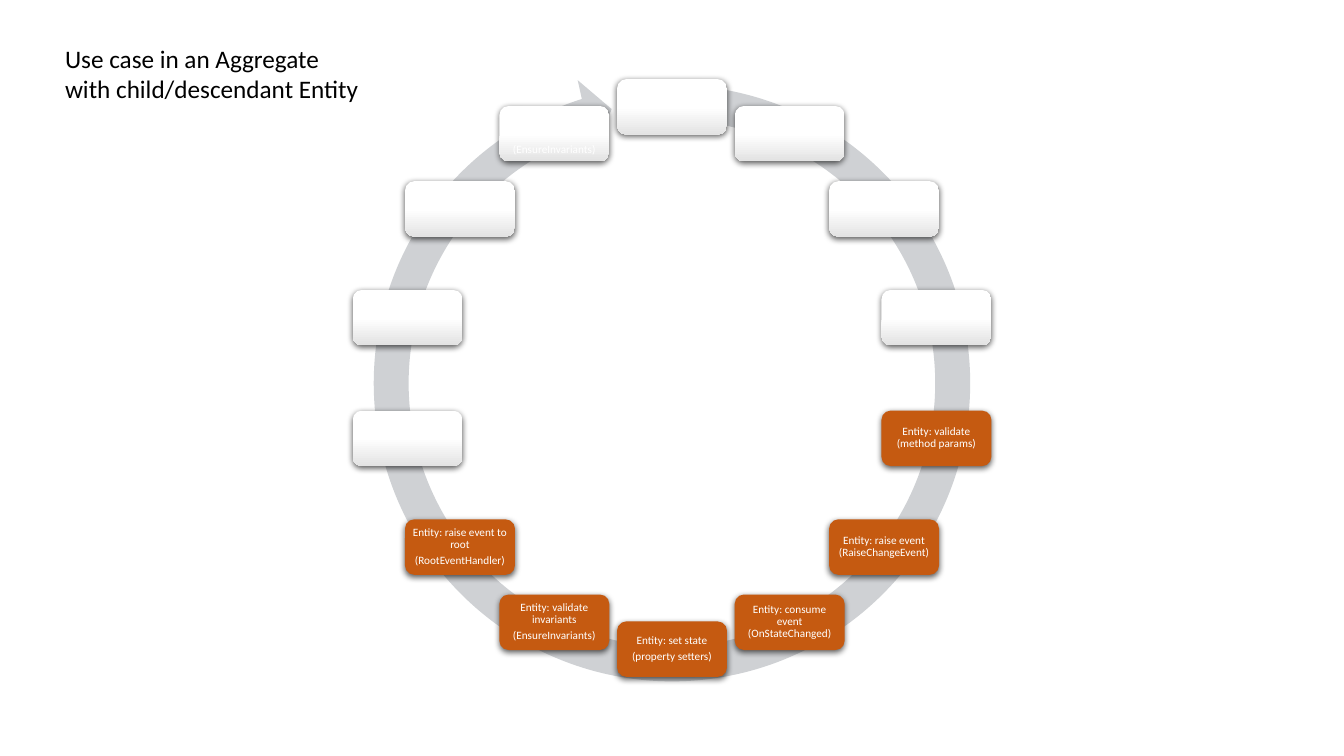
from math import cos, pi, sin

from lxml import etree
from pptx import Presentation
from pptx import util as u
from pptx.dml.color import RGBColor
from pptx.enum import shapes, text
from pptx.oxml import parse_xml

THEME = {
    "font": "Calibri", "title_size": 18, "step_size": 8,
    "black": RGBColor(0, 0, 0), "white": RGBColor(255, 255, 255),
    "ring": RGBColor(0xCF, 0xD1, 0xD4), "entity": RGBColor(0xC5, 0x5A, 0x11),
    "root_shade": RGBColor(0xE3, 0xE3, 0xE3),
}
WIDTH, HEIGHT = u.Inches(13.33), u.Inches(7.5)
DRAWING_NS = "http://schemas.openxmlformats.org/drawingml/2006/main"
SOFT_SHADOW = (
    f'<a:outerShdw xmlns:a="{DRAWING_NS}" blurRad="57150" dist="19050" dir="5400000" '
    'algn="ctr" rotWithShape="0"><a:srgbClr val="000000"><a:alpha val="63000"/>'
    '</a:srgbClr></a:outerShdw>')


def write(frame, lines, size, color, align=text.PP_ALIGN.LEFT, line_spacing=1.0, after=0):
    for i, line in enumerate(lines):
        paragraph = frame.paragraphs[0] if i == 0 else frame.add_paragraph()
        paragraph.alignment = align
        paragraph.line_spacing = line_spacing
        paragraph.space_after = u.Pt(after)
        run = paragraph.add_run()
        run.text = line
        run.font.name = THEME["font"]
        run.font.size = u.Pt(size)
        run.font.color.rgb = color


deck = Presentation()
deck.slide_width, deck.slide_height = WIDTH, HEIGHT
slide = deck.slides.add_slide(deck.slide_layouts[6])

# Ring with its arrowhead, centred on the slide
center_x, center_y = WIDTH // 2, HEIGHT // 2
ring_size = int(HEIGHT * 0.84)
ring = slide.shapes.add_shape(
    shapes.MSO_SHAPE.CIRCULAR_ARROW, center_x - ring_size // 2,
    int(HEIGHT * 0.087), ring_size, ring_size)
for i, value in enumerate((0.055, 3.307, 151.253, 166.078, 0.058)):
    ring.adjustments[i] = value
ring.shadow.inherit = False
ring.fill.solid()
ring.fill.fore_color.rgb = THEME["ring"]
ring.line.fill.background()

# Steps clockwise from the top: aggregate root (pale) and entity (orange)
steps = [
    ("root", []), ("root", []), ("root", []), ("root", []),
    ("entity", ["Entity: validate (method params)"]),
    ("entity", ["Entity: raise event (RaiseChangeEvent)"]),
    ("entity", ["Entity: consume event (OnStateChanged)"]),
    ("entity", ["Entity: set state", "(property setters)"]),
    ("entity", ["Entity: validate invariants", "(EnsureInvariants)"]),
    ("entity", ["Entity: raise event to root", "(RootEventHandler)"]),
    ("root", []), ("root", []), ("root", []),
    ("root", ["(EnsureInvariants)"]),
]
step_width, step_height = u.Inches(1.09), u.Inches(0.55)
radius = u.Inches(2.69)
for i, (owner, lines) in enumerate(steps):
    angle = 2 * pi * i / len(steps)
    step = slide.shapes.add_shape(
        shapes.MSO_SHAPE.ROUNDED_RECTANGLE,
        int(center_x + radius * sin(angle) - step_width / 2),
        int(center_y - radius * cos(angle) - step_height / 2),
        step_width, step_height)
    step.line.fill.background()
    step.shadow.inherit = False
    effects = step._element.spPr.find(etree.QName(DRAWING_NS, "effectLst").text)
    effects.append(parse_xml(SOFT_SHADOW))

    frame = step.text_frame
    frame.word_wrap = True
    frame.margin_left = frame.margin_right = u.Inches(0.03)
    frame.margin_top = frame.margin_bottom = u.Inches(0.03)
    if owner == "entity":
        step.fill.solid()
        step.fill.fore_color.rgb = THEME["entity"]
        frame.vertical_anchor = text.MSO_ANCHOR.MIDDLE
    else:
        step.fill.gradient()
        step.fill.gradient_angle = 270
        upper, lower = step.fill.gradient_stops
        upper.position, lower.position = 0.5, 1
        upper.color.rgb, lower.color.rgb = THEME["white"], THEME["root_shade"]
        frame.vertical_anchor = text.MSO_ANCHOR.BOTTOM
    write(frame, lines, THEME["step_size"], THEME["white"],
          align=text.PP_ALIGN.CENTER, line_spacing=0.9, after=2.8)

# Title
title = slide.shapes.add_textbox(
    int(WIDTH * 0.041), int(HEIGHT * 0.051), u.Inches(3.15), u.Inches(0.71))
title.text_frame.word_wrap = False
write(title.text_frame, ["Use case in an Aggregate", "with child/descendant Entity"],
      THEME["title_size"], THEME["black"])

deck.save("out.pptx")
